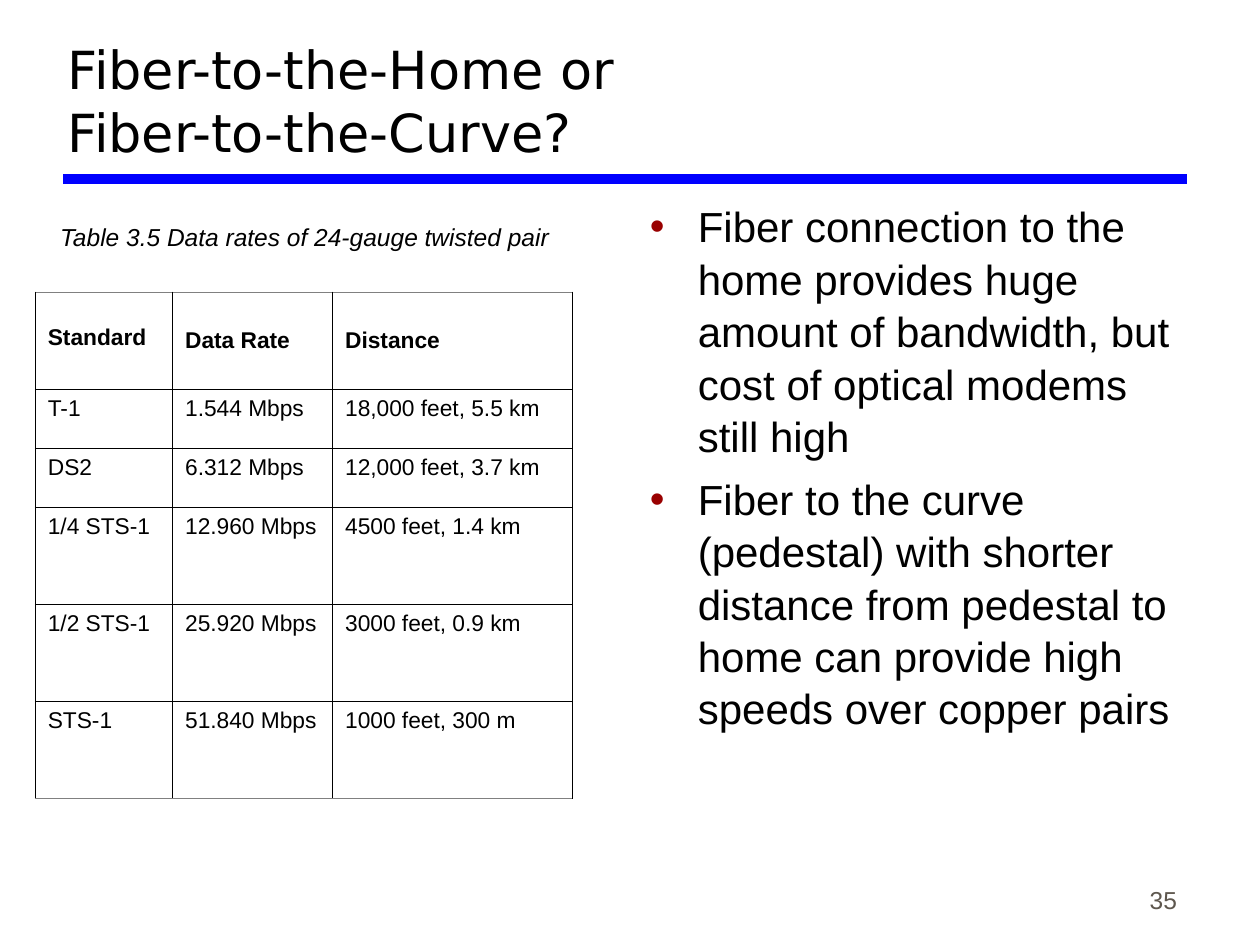
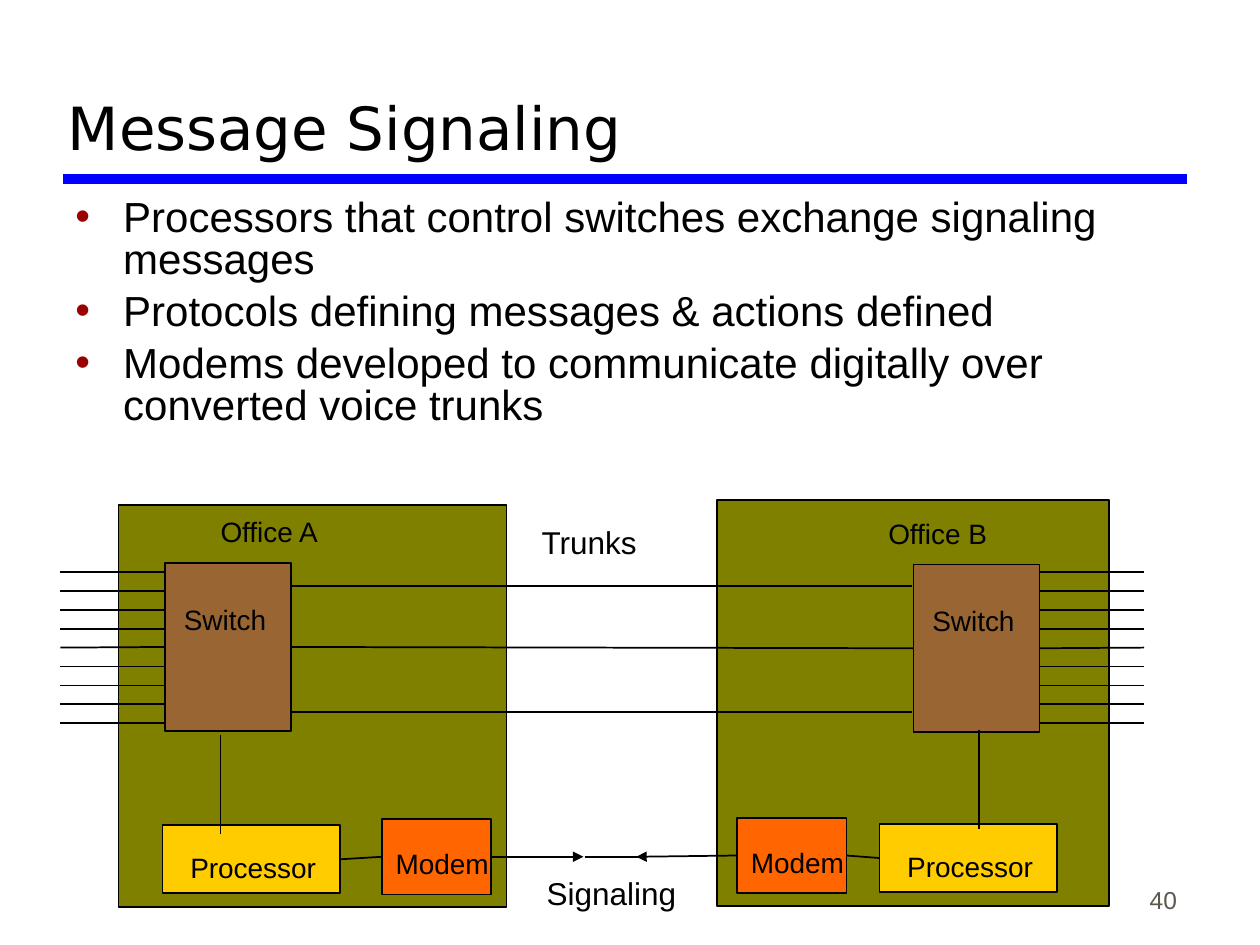
from pptx import Presentation
from pptx import util as u
from pptx.dml.color import RGBColor
from pptx.enum import shapes, text
from pptx.oxml.ns import qn
from lxml import etree

COLORS = {
    "black": "000000",
    "rule": "0000FF",
    "number": "5E574E",
    "bullet": "990000",
    "edge": "808080",
    "office": "808000",
    "switch": "996633",
    "processor": "FFCC00",
    "modem": "FF6600",
}
BODY_FONT, TITLE_FONT = "Arial", "DejaVu Sans"
LEFT, RIGHT = text.PP_ALIGN.LEFT, text.PP_ALIGN.RIGHT
TOP, MIDDLE, BOTTOM = text.MSO_ANCHOR.TOP, text.MSO_ANCHOR.MIDDLE, text.MSO_ANCHOR.BOTTOM
INSETS = (0.1, 0.05, 0.1, 0.05)

RATES = [
    ("Standard", "Data Rate", "Distance"),
    ("T-1", "1.544 Mbps", "18,000 feet, 5.5 km"),
    ("DS2", "6.312 Mbps", "12,000 feet, 3.7 km"),
    ("1/4 STS-1", "12.960 Mbps", "4500 feet, 1.4 km"),
    ("1/2 STS-1", "25.920 Mbps", "3000 feet, 0.9 km"),
    ("STS-1", "51.840 Mbps", "1000 feet, 300 m"),
]
COLUMN_WIDTHS = (1.09, 1.27, 1.9)
ROW_HEIGHTS = (0.77, 0.47, 0.47, 0.77, 0.77, 0.77)

PART_SIZES = {"switch": (1, 1.33), "processor": (1.41, 0.54), "modem": (0.87, 0.6)}
PART_INSETS = {
    "switch": (0.15, 0.31, 0, 0),
    "processor": (0.22, 0.2, 0, 0),
    "modem": (0.11, 0.22, 0, 0),
}
OFFICE_A = {
    "label": "Office A", "label_insets": (0.81, 0.07, 0, 0),
    "switch": (0.37, 0.46), "processor": (0.35, 2.54), "modem": (2.09, 2.49),
    "link": 0.81,
}
OFFICE_B = {
    "label": "Office B", "label_insets": (1.36, 0.13, 0, 0),
    "switch": (1.56, 0.51), "processor": (1.29, 2.57), "modem": (0.16, 2.52),
    "link": 2.08,
}


def color(name):
    return RGBColor.from_string(COLORS[name])


def inches(values):
    return [u.Inches(value) for value in values]


def add_bullet(paragraph):
    properties = paragraph._p.get_or_add_pPr()
    properties.set("marL", str(u.Inches(0.38)))
    properties.set("indent", str(-u.Inches(0.38)))
    bullet_color = etree.SubElement(properties, qn("a:buClr"))
    etree.SubElement(bullet_color, qn("a:srgbClr"), val=COLORS["bullet"])
    etree.SubElement(properties, qn("a:buFont"), typeface=BODY_FONT)
    etree.SubElement(properties, qn("a:buChar"), char="•")


def write(frame, *lines, size=16, font=BODY_FONT, ink="black", bold=False, italic=False,
          align=LEFT, anchor=TOP, insets=INSETS, bullets=False, spacing=None):
    frame.word_wrap = True
    frame.vertical_anchor = anchor
    (frame.margin_left, frame.margin_top,
     frame.margin_right, frame.margin_bottom) = inches(insets)
    for index, line in enumerate(lines):
        paragraph = frame.add_paragraph() if index else frame.paragraphs[0]
        if bullets:
            add_bullet(paragraph)
        paragraph.alignment = align
        paragraph.line_spacing = spacing
        paragraph.space_before = u.Pt(6 if index else 0)
        run_lines = line.split("\n")
        for position, part in enumerate(run_lines):
            if position:
                paragraph.add_line_break()
            run = paragraph.add_run()
            run.text = part
            run.font.size = u.Pt(size)
            run.font.name = font
            run.font.bold = bold
            run.font.italic = italic
            run.font.color.rgb = color(ink)


def add_text(slide, box, *lines, **style):
    write(slide.shapes.add_textbox(*inches(box)).text_frame, *lines, **style)


def add_box(slide, box, fill, label, insets):
    shape = slide.shapes.add_shape(shapes.MSO_SHAPE.RECTANGLE, *inches(box))
    shape.shadow.inherit = False
    shape.fill.solid()
    shape.fill.fore_color.rgb = color(fill)
    shape.line.color.rgb = color("black")
    shape.line.width = u.Pt(1)
    write(shape.text_frame, label, insets=insets)
    return shape


def add_line(slide, start, end, ink="black", width=1, arrow=False, begin=None, finish=None):
    line = slide.shapes.add_connector(shapes.MSO_CONNECTOR.STRAIGHT, *inches(start + end))
    line.line.color.rgb = color(ink)
    line.line.width = u.Pt(width)
    if arrow:
        etree.SubElement(line.line._get_or_add_ln(), qn("a:tailEnd"), type="triangle")
    etree.SubElement(line._element.spPr, qn("a:effectLst"))
    if begin:
        line.begin_connect(*begin)
    if finish:
        line.end_connect(*finish)


def add_slide(presentation, title, title_size, number):
    slide = presentation.slides.add_slide(presentation.slide_layouts[6])
    add_line(slide, (0.5, 1.42), (9.42, 1.42), ink="rule", width=6)
    add_text(slide, (0.44, 0.17, 8.97, 1.17), title,
             size=title_size, font=TITLE_FONT, anchor=BOTTOM)
    add_text(slide, (7.36, 6.81, 2.08, 0.5), number,
             size=14, ink="number", align=RIGHT, anchor=BOTTOM)
    return slide


def add_bullets(slide, box, *lines, spacing):
    add_text(slide, box, *lines, size=24, bullets=True, spacing=spacing)


def set_borders(cell, top, bottom):
    properties = cell._tc.get_or_add_tcPr()
    sides = {"L": ("black", 0.45), "R": ("black", 0.45), "T": top, "B": bottom}
    for index, (side, (ink, width)) in enumerate(sides.items()):
        border = etree.Element(qn(f"a:ln{side}"), w=str(u.Pt(width)))
        fill = etree.SubElement(border, qn("a:solidFill"))
        etree.SubElement(fill, qn("a:srgbClr"), val=COLORS[ink])
        properties.insert(index, border)


def add_rate_table(slide, left, top):
    box = (left, top, sum(COLUMN_WIDTHS), sum(ROW_HEIGHTS))
    table = slide.shapes.add_table(len(RATES), len(COLUMN_WIDTHS), *inches(box)).table
    table.first_row = table.horz_banding = False
    for column, width in zip(table.columns, COLUMN_WIDTHS):
        column.width = u.Inches(width)
    inner, outer = ("black", 0.45), ("edge", 0.96)
    last = len(RATES) - 1
    for row, values in enumerate(RATES):
        table.rows[row].height = u.Inches(ROW_HEIGHTS[row])
        for column, value in enumerate(values):
            cell = table.cell(row, column)
            cell.fill.background()
            header = row == 0
            lowered = header and column == 0
            anchor = MIDDLE if header and not lowered else TOP
            insets = (0.1, 0.26, 0.1, 0.05) if lowered else INSETS
            write(cell.text_frame, value, size=13, bold=header)
            cell.vertical_anchor = anchor
            (cell.margin_left, cell.margin_top,
             cell.margin_right, cell.margin_bottom) = inches(insets)
            set_borders(cell, inner if row else outer, outer if row == last else inner)


def add_office(slide, box, layout):
    left, top = box[:2]
    add_box(slide, box, "office", layout["label"], layout["label_insets"])
    parts = {}
    for name, size in PART_SIZES.items():
        dx, dy = layout[name]
        parts[name] = add_box(slide, (left + dx, top + dy) + size, name,
                              name.capitalize(), PART_INSETS[name])
    link = left + layout["link"]
    add_line(slide, (link, top + 1.82), (link, top + 2.61))
    return parts


def add_subscriber_lines(slide, left, top, switch, side):
    for index in range(9):
        y = top + 0.15 * index
        joint = (switch, side) if index == 4 else None
        add_line(slide, (left, y), (left + 0.83, y),
                 begin=joint if side == 3 else None,
                 finish=joint if side == 1 else None)


def add_signaling_diagram(slide):
    office_b = add_office(slide, (5.69, 3.97, 3.11, 3.22), OFFICE_B)
    office_a = add_office(slide, (0.94, 4.01, 3.08, 3.19), OFFICE_A)
    add_subscriber_lines(slide, 0.48, 4.54, office_a["switch"], 1)
    add_subscriber_lines(slide, 8.25, 4.54, office_b["switch"], 3)

    for y in (4.65, 5.65):
        add_line(slide, (2.32, y), (7.24, y))
    add_line(slide, (2.32, 5.13), (7.24, 5.13),
             begin=(office_a["switch"], 3), finish=(office_b["switch"], 1))

    add_line(slide, (2.71, 6.8), (3.01, 6.8),
             begin=(office_a["processor"], 3), finish=(office_a["modem"], 1))
    add_line(slide, (6.73, 6.8), (6.98, 6.8),
             begin=(office_b["modem"], 3), finish=(office_b["processor"], 1))
    add_line(slide, (3.9, 6.8), (4.63, 6.8), arrow=True, begin=(office_a["modem"], 3))
    add_line(slide, (4.64, 6.8), (5.07, 6.8))
    add_line(slide, (5.81, 6.8), (5.05, 6.8), arrow=True, begin=(office_b["modem"], 1))

    add_text(slide, (4.2, 4.1, 1.2, 0.4), "Trunks", size=18)
    add_text(slide, (4.24, 6.89, 1.4, 0.4), "Signaling", size=18)


def build_fiber_slide(presentation):
    slide = add_slide(presentation, "Fiber-to-the-Home or\nFiber-to-the-Curve?", 30, "35")
    add_bullets(
        slide, (5.06, 1.53, 4.39, 5.1),
        "Fiber connection to the home provides huge amount of bandwidth, "
        "but cost of optical modems still high",
        "Fiber to the curve (pedestal) with shorter distance from pedestal "
        "to home can provide high speeds over copper pairs",
        spacing=1.04)
    add_text(slide, (0.38, 1.71, 4.2, 0.34), "Table 3.5 Data rates of 24-gauge twisted pair",
             size=14, italic=True, anchor=MIDDLE)
    add_rate_table(slide, 0.28, 2.32)


def build_signaling_slide(presentation):
    slide = add_slide(presentation, "Message Signaling", 34, "40")
    add_signaling_diagram(slide)
    add_bullets(
        slide, (0.5, 1.53, 8.9, 2.09),
        "Processors that control switches exchange signaling messages",
        "Protocols defining messages & actions defined",
        "Modems developed to communicate digitally over converted voice trunks",
        spacing=0.83)


def main():
    presentation = Presentation()
    presentation.slide_width, presentation.slide_height = inches((10, 7.5))
    build_fiber_slide(presentation)
    build_signaling_slide(presentation)
    presentation.save("out.pptx")


if __name__ == "__main__":
    main()
